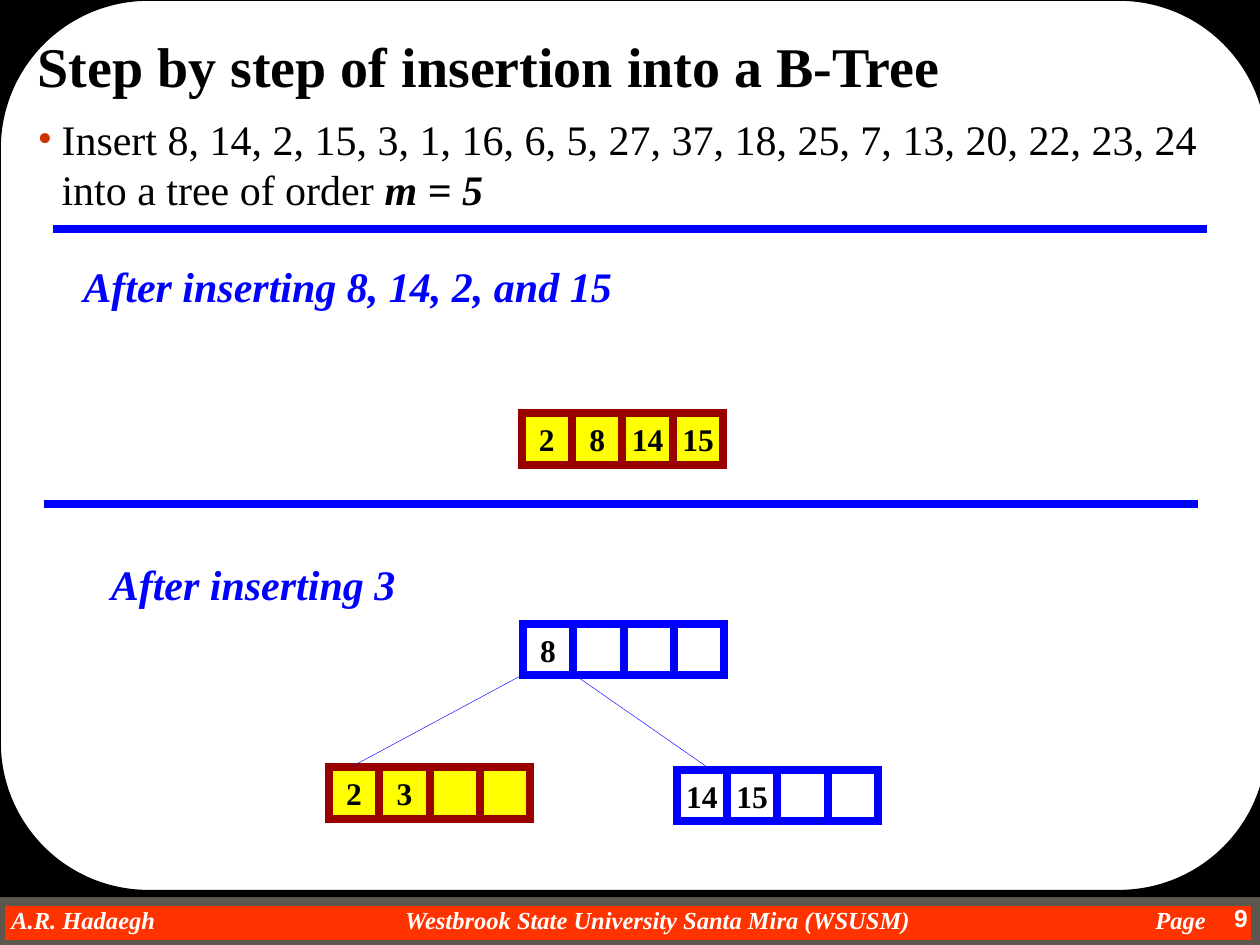
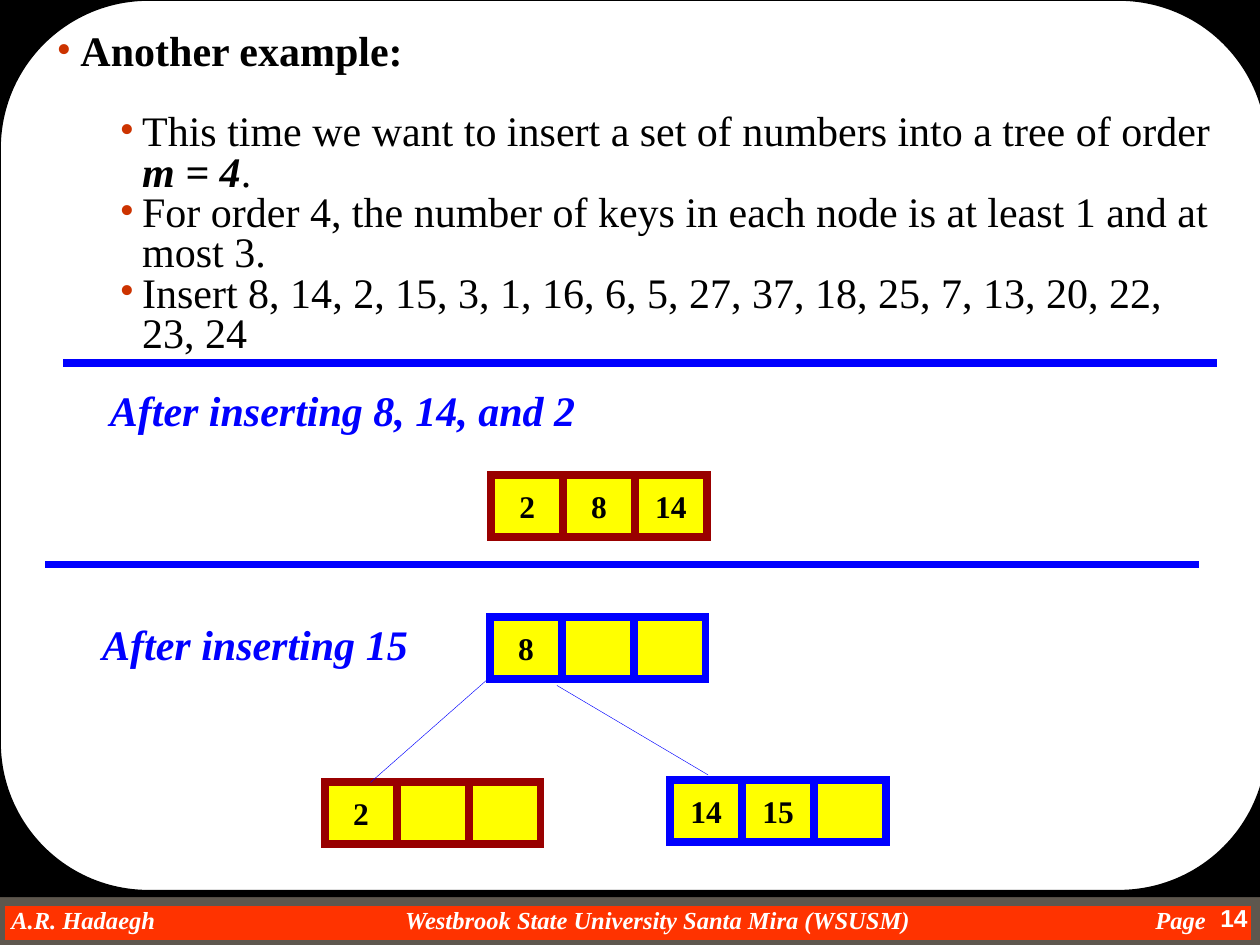
from dataclasses import dataclass

from lxml import etree
from pptx import Presentation
from pptx.dml.color import RGBColor
from pptx.enum.shapes import MSO_CONNECTOR, MSO_SHAPE
from pptx.enum.text import MSO_ANCHOR, PP_ALIGN
from pptx.oxml.ns import qn
from pptx.util import Inches, Pt

RECTANGLE = MSO_SHAPE.RECTANGLE
ROUNDED = MSO_SHAPE.ROUNDED_RECTANGLE
STRAIGHT = MSO_CONNECTOR.STRAIGHT
LEFT, CENTER, RIGHT = PP_ALIGN.LEFT, PP_ALIGN.CENTER, PP_ALIGN.RIGHT
MIDDLE = MSO_ANCHOR.MIDDLE


@dataclass(frozen=True)
class Theme:
    serif: str = "Times New Roman"
    sans: str = "Arial"
    black: RGBColor = RGBColor(0, 0, 0)
    white: RGBColor = RGBColor(255, 255, 255)
    blue: RGBColor = RGBColor(0, 0, 255)
    dark_red: RGBColor = RGBColor(0x99, 0, 0)
    yellow: RGBColor = RGBColor(255, 255, 0)
    band: RGBColor = RGBColor(255, 0x33, 0)
    band_edge: RGBColor = RGBColor(0x5E, 0x57, 0x4E)
    bullet: str = "CC3300"
    title_size: int = 32
    body_size: int = 24
    key_size: int = 18
    footer_size: int = 14
    thick: float = 4.5
    thin: float = 0.25


THEME = Theme()
CHANGED_NODE = (THEME.yellow, THEME.dark_red)
YELLOW_NODE = (THEME.yellow, THEME.blue)
PLAIN_NODE = (None, THEME.blue)


def style_font(paragraph, size, color, name=THEME.serif, bold=None, italic=None):
    font = paragraph.font
    font.name, font.size, font.color.rgb = name, Pt(size), color
    font.bold, font.italic = bold, italic


def add_box(shapes, kind, left, top, width, height, fill=None, line=None, weight=1):
    box = shapes.add_shape(
        kind, Inches(left), Inches(top), Inches(width), Inches(height))
    box.shadow.inherit = False
    if fill is None:
        box.fill.background()
    else:
        box.fill.solid()
        box.fill.fore_color.rgb = fill
    if line is None:
        box.line.fill.background()
    else:
        box.line.color.rgb = line
        box.line.width = Pt(weight)
        outline = box._element.spPr.find(qn("a:ln"))
        etree.SubElement(outline, qn("a:miter"), lim="800000")
    return box


def add_text_frame(slide, left, top, width, height, wrap=True):
    frame = slide.shapes.add_textbox(
        Inches(left), Inches(top), Inches(width), Inches(height)).text_frame
    frame.word_wrap = wrap
    return frame


def clear_margins(frame):
    frame.margin_left = frame.margin_right = 0
    frame.margin_top = frame.margin_bottom = 0


def add_line(slide, start, end, weight):
    line = slide.shapes.add_connector(
        STRAIGHT, *(Inches(value) for value in (*start, *end)))
    line.line.color.rgb = THEME.blue
    line.line.width = Pt(weight)
    properties = line._element.find(qn("p:spPr"))
    etree.SubElement(properties, qn("a:effectLst"))


def add_rule(slide, left, top):
    add_line(slide, (left, top), (left + 9.16, top), THEME.thick)


def set_bullet(paragraph, margin, first_line):
    properties = paragraph._p.get_or_add_pPr()
    properties.set("marL", str(Inches(margin)))
    properties.set("indent", str(Inches(first_line)))
    color = etree.SubElement(properties, qn("a:buClr"))
    etree.SubElement(color, qn("a:srgbClr"), val=THEME.bullet)
    etree.SubElement(properties, qn("a:buFont"), typeface=THEME.serif)
    etree.SubElement(properties, qn("a:buChar"), char="•")


def add_footer(slide, page):
    add_box(slide.shapes, RECTANGLE, 0, 7.15, 9.97, 0.35,
            THEME.band, THEME.band_edge, 6)
    credits = (
        (0.09, 2, LEFT, "A.R. Hadaegh"),
        (2.72, 5, CENTER, "Westbrook State University Santa Mira (WSUSM)"),
        (8.57, 1, RIGHT, "Page"),
    )
    for left, width, alignment, text in credits:
        frame = add_text_frame(slide, left, 7.18, width, 0.23)
        clear_margins(frame)
        credit = frame.paragraphs[0]
        credit.text = text
        credit.alignment = alignment
        style_font(credit, THEME.footer_size, THEME.white, bold=True, italic=True)

    number = add_text_frame(slide, 9.25, 7.12, 0.75, 0.38).paragraphs[0]
    number.text = str(page)
    number.alignment = RIGHT
    style_font(number, THEME.footer_size, THEME.white, THEME.sans, bold=True)


def add_page(deck, page):
    slide = deck.slides.add_slide(deck.slide_layouts[6])
    slide.background.fill.solid()
    slide.background.fill.fore_color.rgb = THEME.black
    add_footer(slide, page)
    add_box(slide.shapes, RECTANGLE, 0, 0.01, 10, 7.11, THEME.black)
    add_box(slide.shapes, ROUNDED, 0, 0, 10.06, 7.07, THEME.white, THEME.black)
    return slide


def add_item(paragraph, parts, level=0, spacing=1.0, before=0, bold=False):
    margin, first_line = ((0.19, -0.19), (0.68, -0.18))[level]
    paragraph.level = level
    set_bullet(paragraph, margin, first_line)
    paragraph.line_spacing = spacing
    paragraph.space_before = Pt(before)
    style_font(paragraph, THEME.body_size, THEME.black, bold=bold)
    for text, emphasized in parts:
        run = paragraph.add_run()
        run.text = text
        if emphasized:
            run.font.bold = run.font.italic = True


def add_step_heading(slide, left, top, width, text):
    heading = add_text_frame(slide, left, top, width, 0.5, wrap=False).paragraphs[0]
    heading.text = text
    heading.alignment = CENTER
    style_font(heading, THEME.body_size, THEME.blue, bold=True, italic=True)


def add_node(slide, left, top, cell, capacity, keys, style):
    width, height = cell
    fill, outline = style
    node = slide.shapes.add_group_shape()
    for index in range(capacity):
        slot = add_box(node.shapes, RECTANGLE, left + index * width, top,
                       width, height, fill, outline, THEME.thick)
        if index < len(keys):
            frame = slot.text_frame
            clear_margins(frame)
            frame.word_wrap = False
            frame.vertical_anchor = MIDDLE
            key = frame.paragraphs[0]
            key.text = str(keys[index])
            key.alignment = CENTER
            style_font(key, THEME.key_size, THEME.black, bold=True)


def add_tree(slide, left, top, cell, capacity, nodes, edges):
    for x, y, keys, style in nodes:
        add_node(slide, left + x, top + y, cell, capacity, keys, style)
    for (x1, y1), (x2, y2) in edges:
        add_line(slide, (left + x1, top + y1), (left + x2, top + y2), THEME.thin)


def build_order_five(deck):
    slide = add_page(deck, 9)
    frame = add_text_frame(slide, 0.2, 0.2, 9.58, 1.55)
    title = frame.paragraphs[0]
    title.text = "Step by step of insertion into a B-Tree"
    title.alignment = LEFT
    style_font(title, THEME.title_size, THEME.black, bold=True)
    add_item(frame.add_paragraph(), [
        ("Insert 8, 14, 2, 15, 3, 1, 16, 6, 5, 27, 37, 18, 25, 7, 13, 20, 22, 23, 24 "
         "into a tree of order ", False),
        ("m = 5", True)], before=8.5)

    cell, capacity = (0.4, 0.41), 4
    add_rule(slide, 0.42, 1.82)
    add_step_heading(slide, 0.56, 2.02, 4.4, "After inserting 8, 14, 2, and 15")
    add_node(slide, 4.14, 3.28, cell, capacity, (2, 8, 14, 15), CHANGED_NODE)
    add_rule(slide, 0.35, 4)
    add_step_heading(slide, 0.78, 4.38, 2.46, "After inserting 3")
    add_tree(slide, 2.61, 4.95, cell, capacity,
             [(1.54, 0, (8,), PLAIN_NODE),
              (0, 1.14, (2, 3), CHANGED_NODE),
              (2.76, 1.16, (14, 15), PLAIN_NODE)],
             [((1.53, 0.41), (0.19, 1.13)),
              ((1.97, 0.42), (3.02, 1.15))])


def build_order_four(deck):
    slide = add_page(deck, 14)
    frame = add_text_frame(slide, 0.35, 0.22, 9.38, 2.66)
    add_item(frame.paragraphs[0], [("Another example:", False)],
             spacing=0.8, bold=True)
    details = [
        [("This time we want to insert a set of numbers into a tree of order ", False),
         ("m = 4", True), (".", False)],
        [("For order 4, the number of keys in each node is at least 1 "
          "and at most 3.", False)],
        [("Insert 8, 14, 2, 15, 3, 1, 16, 6, 5, 27, 37, 18, 25, 7, 13, 20, 22, 23, 24",
          False)],
    ]
    for index, parts in enumerate(details):
        add_item(frame.add_paragraph(), parts, level=1, spacing=0.8,
                 before=23 if index == 0 else 0)

    cell, capacity = (0.57, 0.49), 3
    add_rule(slide, 0.5, 2.88)
    add_step_heading(slide, 0.77, 3, 3.9, "After inserting 8, 14, and 2")
    add_node(slide, 3.9, 3.77, cell, capacity, (2, 8, 14), CHANGED_NODE)
    add_rule(slide, 0.36, 4.48)
    add_step_heading(slide, 0.71, 4.86, 2.63, "After inserting 15")
    add_tree(slide, 2.58, 4.9, cell, capacity,
             [(1.31, 0, (8,), YELLOW_NODE),
              (0, 1.31, (2,), CHANGED_NODE),
              (2.74, 1.29, (14, 15), YELLOW_NODE)],
             [((1.28, 0.5), (0.36, 1.31)),
              ((1.84, 0.54), (3.04, 1.25))])


deck = Presentation()
deck.slide_width, deck.slide_height = Inches(10), Inches(7.5)
build_order_five(deck)
build_order_four(deck)
deck.save("out.pptx")
